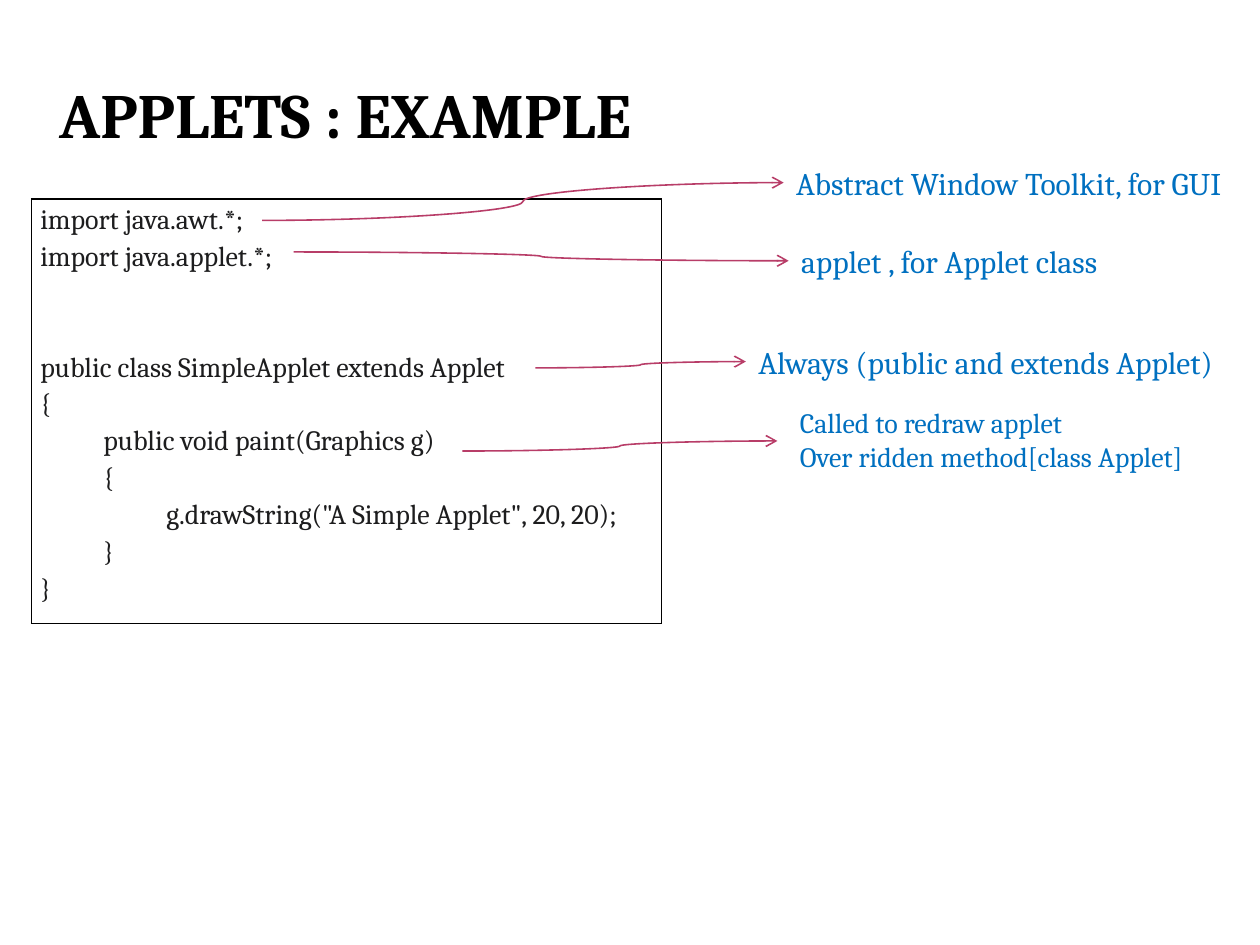
from lxml import etree
from pptx import Presentation
from pptx.dml.color import RGBColor
from pptx.enum import shapes, text
from pptx.oxml import ns
from pptx.util import Inches, Pt

FONT = "Cambria"
BLUE, INK, ROSE = "0070C0", "1D1D1E", "B83D68"

# Each line of code: indent level, text, space before in points
CODE = [
    (0, "import java.awt.*;", 0),
    (0, "import java.applet.*;", 0),
    (0, "public class SimpleApplet extends Applet", 42.3),
    (0, "{", 0),
    (1, "public void paint(Graphics g)", 0),
    (1, "{", 0),
    (2, 'g.drawString("A Simple Applet", 20, 20);', 0),
    (1, "}", 0),
    (0, "}", 0),
]

# Each note: box, text size, wrap, lines
NOTES = [
    ((6.22, 1.25, 3.78, 0.4), 18, True, ["Abstract Window Toolkit, for GUI"]),
    ((6.26, 1.87, 2.71, 0.4), 18, False, ["applet , for Applet class"]),
    ((5.92, 2.67, 4.08, 0.4), 18, True, ["Always (public and extends Applet)"]),
    ((6.25, 3.17, 3.67, 0.64), 16, True,
     ["Called to redraw applet", "Over ridden method[class Applet]"]),
]

ARROWS = [
    (2.08, 1.75, 6.22, 1.45),
    (2.33, 2, 6.26, 2.07),
    (4.25, 2.92, 5.92, 2.87),
    (3.67, 3.58, 6.17, 3.5),
]


def color(code):
    return RGBColor.from_string(code)


def assign(item, values):
    for name, value in values.items():
        setattr(item, name, value)


def sub(parent, tag, **attrs):
    return etree.SubElement(parent, ns.qn(tag), attrs)


def write(frame, lines, size, ink, bold=False, **form):
    """Put lines into a text frame, one paragraph each."""
    for i, line in enumerate(lines):
        para = frame.paragraphs[0] if i == 0 else frame.add_paragraph()
        assign(para, form)
        run = para.add_run()
        run.text = line
        assign(run.font, {"name": FONT, "size": Pt(size), "bold": bold})
        run.font.color.rgb = color(ink)


def add_text(slide, box, lines, size, ink, frame=None, **form):
    area = slide.shapes.add_textbox(*map(Inches, box)).text_frame
    assign(area, {"word_wrap": True, **(frame or {})})
    write(area, lines, size, ink, **form)


def add_border(cell):
    props = cell._tc.get_or_add_tcPr()
    for i, side in enumerate(("a:lnL", "a:lnR", "a:lnT", "a:lnB")):
        line = etree.Element(ns.qn(side), w=str(Pt(1)))
        sub(sub(line, "a:solidFill"), "a:srgbClr", val="000000")
        props.insert(i, line)


def add_code(slide, box):
    table = slide.shapes.add_table(1, 1, *map(Inches, box)).table
    assign(table, {"first_row": False, "horz_banding": False})
    cell = table.cell(0, 0)
    cell.fill.background()
    add_border(cell)
    assign(cell, {"margin_left": Inches(0.07), "margin_right": Inches(0.07),
                  "margin_top": 0, "margin_bottom": 0})
    frame = cell.text_frame
    write(frame, [line for _, line, _ in CODE], 16, INK,
          alignment=text.PP_ALIGN.JUSTIFY, line_spacing=1.15)
    for para, (level, _, gap) in zip(frame.paragraphs, CODE):
        if level:
            para._p.get_or_add_pPr().set("marL", str(Inches(0.5 * level)))
        if gap:
            para.space_before = Pt(gap)


def add_arrow(slide, ends):
    arrow = slide.shapes.add_connector(
        shapes.MSO_CONNECTOR.CURVE, *map(Inches, ends))
    arrow.line.width = Pt(0.9)
    arrow.line.color.rgb = color(ROSE)
    sub(arrow.line._get_or_add_ln(), "a:tailEnd", type="arrow")
    sub(arrow._element.spPr, "a:effectLst")


def main():
    deck = Presentation()
    assign(deck, {"slide_width": Inches(10), "slide_height": Inches(7.5)})
    slide = deck.slides.add_slide(deck.slide_layouts[6])
    inset = {"margin_left": Inches(0.05), "margin_right": Inches(0.05),
             "margin_top": 0, "margin_bottom": 0,
             "vertical_anchor": text.MSO_ANCHOR.BOTTOM}
    add_text(slide, (0.42, 0.33, 9.25, 0.87), ["APPLETS : EXAMPLE"], 36,
             "000000", inset, bold=True, alignment=text.PP_ALIGN.JUSTIFY)
    add_code(slide, (0.25, 1.58, 5, 3.37))
    for box, size, wrap, lines in NOTES:
        add_text(slide, box, lines, size, BLUE, {"word_wrap": wrap})
    for ends in ARROWS:
        add_arrow(slide, ends)
    deck.save("out.pptx")


if __name__ == "__main__":
    main()
